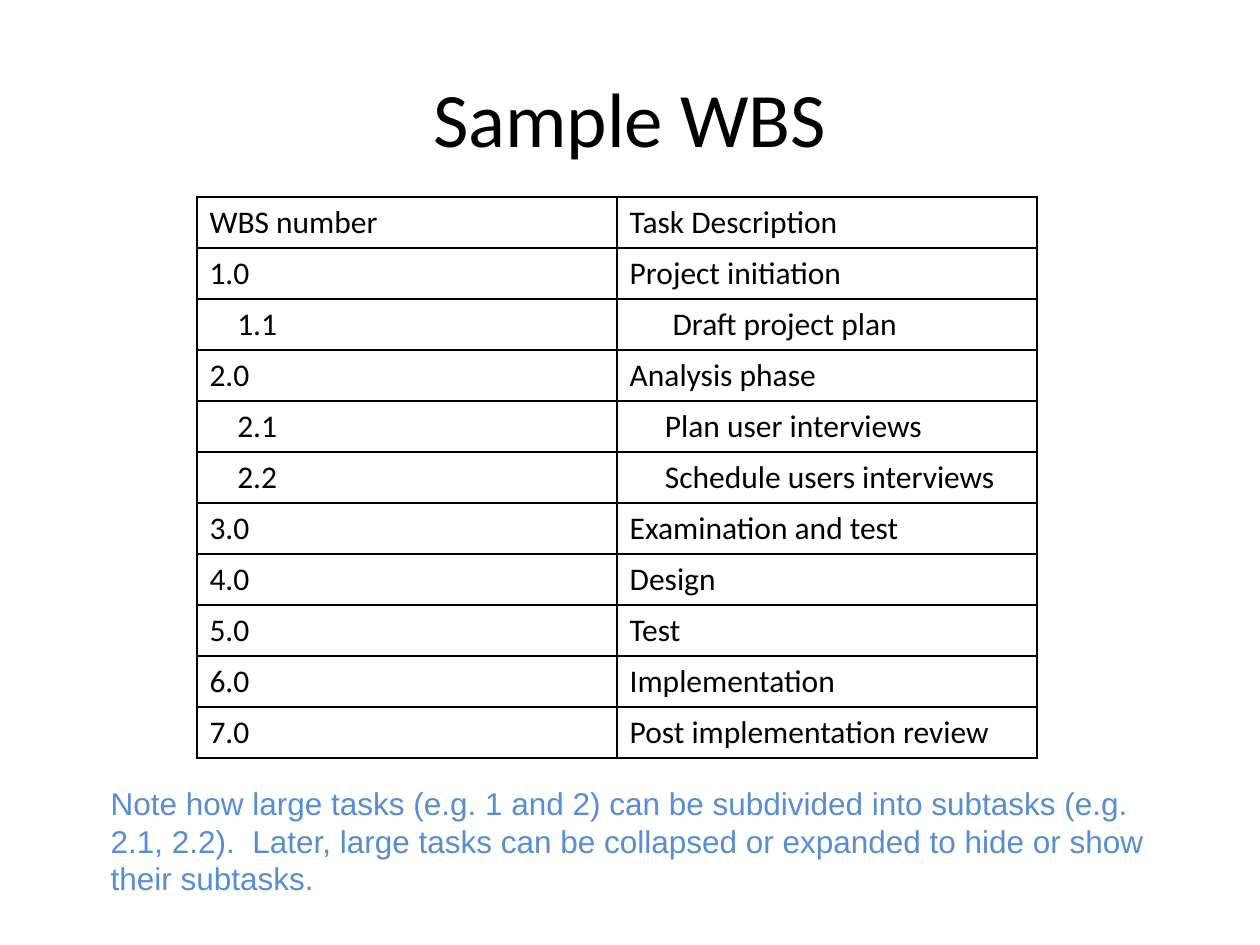
from lxml import etree
from pptx import Presentation
from pptx import util as u
from pptx.dml.color import RGBColor
from pptx.enum import text
from pptx.oxml import ns

COLORS = {"ink": "000000", "paper": "FFFFFF", "note": "558ED5"}
WIDTH, HEIGHT = u.Inches(10), u.Inches(7.5)
GRID_COLUMNS, GRID_ROWS = 100, 75
TASK_ROW = 4.05
TASKS = [
    ("WBS number", "Task Description", 0, 0),
    ("1.0", "Project initiation", 0, 0),
    ("1.1", "Draft project plan", 0.22, 0.34),
    ("2.0", "Analysis phase", 0, 0),
    ("2.1", "Plan user interviews", 0.22, 0.28),
    ("2.2", "Schedule users interviews", 0.22, 0.28),
    ("3.0", "Examination and test", 0, 0),
    ("4.0", "Design", 0, 0),
    ("5.0", "Test", 0, 0),
    ("6.0", "Implementation", 0, 0),
    ("7.0", "Post implementation review", 0, 0),
]
NOTE = (
    "Note how large tasks (e.g. 1 and 2) can be subdivided into subtasks "
    "(e.g. 2.1, 2.2).  Later, large tasks can be collapsed or expanded to "
    "hide or show their subtasks."
)


def color(name):
    return RGBColor.from_string(COLORS[name])


def area(column, row, columns, rows):
    across, down = WIDTH / GRID_COLUMNS, HEIGHT / GRID_ROWS
    return [round(length) for length in
            (column * across, row * down, columns * across, rows * down)]


def write(frame, words, size, font="Calibri", ink="ink", align=text.PP_ALIGN.LEFT):
    para = frame.paragraphs[0]
    para.alignment = align
    span = para.add_run()
    span.text = words
    span.font.size = u.Pt(size)
    span.font.name = font
    span.font.color.rgb = color(ink)
    return para


def add_title(page, place, words):
    box = page.shapes.add_textbox(*area(*place))
    box.text_frame.word_wrap = True
    box.text_frame.vertical_anchor = text.MSO_ANCHOR.MIDDLE
    write(box.text_frame, words, 44, align=text.PP_ALIGN.CENTER)


def add_note(page, place, words):
    left, top, width, height = area(*place)
    right, bottom = left + width, top + height
    outline = page.shapes.build_freeform(left, top)
    outline.add_line_segments([(right, top), (right, bottom), (left, bottom)])
    box = outline.convert_to_shape()
    box.shadow.inherit = False
    box.fill.background()
    box.line.fill.background()
    frame = box.text_frame
    frame.word_wrap = True
    frame.auto_size = text.MSO_AUTO_SIZE.SHAPE_TO_FIT_TEXT
    frame.vertical_anchor = text.MSO_ANCHOR.TOP
    write(frame, words, 18, font="Arial", ink="note")


def add_borders(cell):
    properties = cell._tc.get_or_add_tcPr()
    for position, side in enumerate(("lnL", "lnR", "lnT", "lnB")):
        line = etree.Element(ns.qn(f"a:{side}"), w=str(u.Pt(1.1)))
        fill = etree.SubElement(line, ns.qn("a:solidFill"))
        etree.SubElement(fill, ns.qn("a:srgbClr"), val=COLORS["ink"])
        properties.insert(position, line)


def fill_cell(cell, words, indent):
    cell.vertical_anchor = text.MSO_ANCHOR.MIDDLE
    cell.fill.solid()
    cell.fill.fore_color.rgb = color("paper")
    add_borders(cell)
    para = write(cell.text_frame, words, 18)
    if indent:
        para._p.get_or_add_pPr().set("marL", str(u.Inches(indent)))


def add_task_table(page, column, row, columns):
    place = area(column, row, columns, TASK_ROW * len(TASKS))
    table = page.shapes.add_table(len(TASKS), 2, *place).table
    table.first_row = False
    table.horz_banding = False
    for index, (number, task, number_indent, task_indent) in enumerate(TASKS):
        fill_cell(table.cell(index, 0), number, number_indent)
        fill_cell(table.cell(index, 1), task, task_indent)


def main():
    deck = Presentation()
    deck.slide_width, deck.slide_height = WIDTH, HEIGHT
    page = deck.slides.add_slide(deck.slide_layouts[6])
    add_title(page, (5, 3, 90, 12.5), "Sample WBS")
    add_task_table(page, 15.63, 15.63, 66.7)
    add_note(page, (7.8, 61.72, 85.9, 10), NOTE)
    deck.save("out.pptx")


if __name__ == "__main__":
    main()
